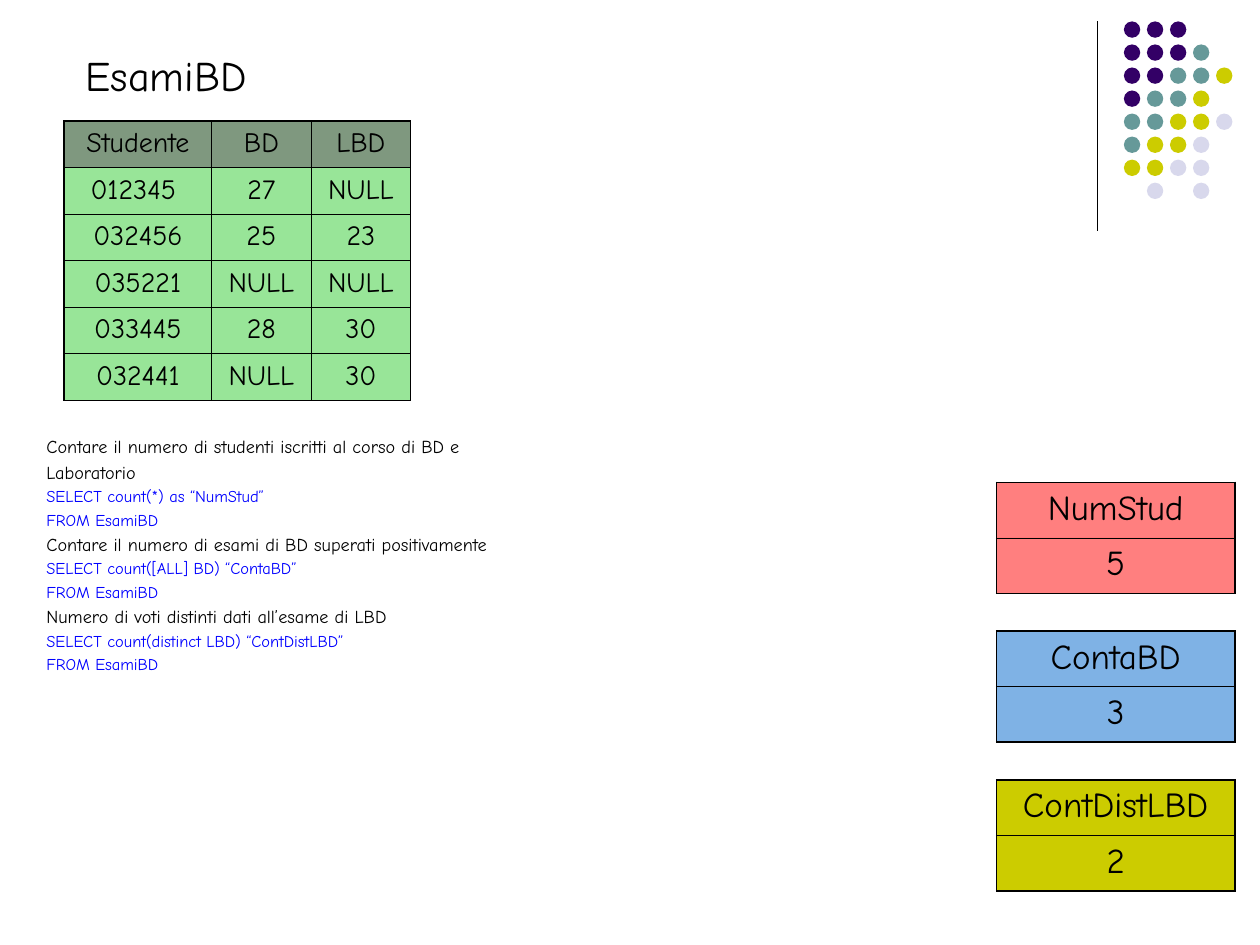
import pptx
import pptx.dml.color
import pptx.enum.shapes
import pptx.enum.text
import pptx.oxml
import pptx.oxml.ns
import pptx.util
from pptx.util import Inches

FONT = "Comic Neue"
BLACK = "000000"
THIN, THICK = 0.45, 1.08

TITLE = "EsamiBD"
QUERIES = [
    (["Contare il numero di studenti iscritti al corso di BD e", "Laboratorio"],
     ["SELECT count(*) as “NumStud”", "FROM EsamiBD"]),
    (["Contare il numero di esami di BD superati positivamente"],
     ["SELECT count([ALL] BD) “ContaBD”", "FROM EsamiBD"]),
    (["Numero di voti distinti dati all’esame di LBD"],
     ["SELECT count(distinct LBD) “ContDistLBD”", "FROM EsamiBD"]),
]
EXAMS = [
    ["Studente", "BD", "LBD"],
    ["012345 ", "27", "NULL"],
    ["032456", "25", "23"],
    ["035221", "NULL", "NULL"],
    ["033445", "28", "30"],
    ["032441", "NULL", "30"],
]
RESULTS = [
    ("NumStud", "5", "FF0000", 50),
    ("ContaBD", "3", "0066CC", 50),
    ("ContDistLBD", "2", "CCCC00", 100),
]
DOT_COLORS = {"P": "330066", "T": "669999", "Y": "CCCC00", "L": "D8D8EC"}
DOT_ROWS = ["PPP", "PPPT", "PPTTY", "PTTY", "TTYYL", "TYYL", "YYLL", " L L"]


def rgb(value):
    return pptx.dml.color.RGBColor.from_string(value)


def add_text(paragraph, text, size, color=BLACK):
    run = paragraph.add_run()
    run.text = text
    run.font.name = FONT
    run.font.size = pptx.util.Pt(size)
    run.font.color.rgb = rgb(color)


def set_borders(cell, widths):
    properties = cell._tc.get_or_add_tcPr()
    for side in "LRTB":
        properties.append(pptx.oxml.parse_xml(
            f'<a:ln{side} {pptx.oxml.ns.nsdecls("a")} w="{pptx.util.Pt(widths[side])}">'
            f'<a:solidFill><a:srgbClr val="{BLACK}"/></a:solidFill></a:ln{side}>'))


def set_fill(cell, color, opacity):
    cell.fill.solid()
    cell.fill.fore_color.rgb = rgb(color)
    if opacity < 100:
        fill_color = cell._tc.tcPr.find(
            f'{pptx.oxml.ns.qn("a:solidFill")}/{pptx.oxml.ns.qn("a:srgbClr")}')
        fill_color.append(pptx.oxml.parse_xml(
            f'<a:alpha {pptx.oxml.ns.nsdecls("a")} val="{opacity * 1000}"/>'))


def add_table(slide, rows, left, top, column_widths, row_height, size, row_colors, opacity):
    last_row, last_column = len(rows) - 1, len(column_widths) - 1
    table = slide.shapes.add_table(
        len(rows), len(column_widths), Inches(left), Inches(top),
        Inches(sum(column_widths)), Inches(row_height * len(rows))).table
    table.first_row = table.horz_banding = False
    for column, width in zip(table.columns, column_widths):
        column.width = Inches(width)
    for r, values in enumerate(rows):
        table.rows[r].height = Inches(row_height)
        for c, value in enumerate(values):
            cell = table.cell(r, c)
            paragraph = cell.text_frame.paragraphs[0]
            paragraph.alignment = pptx.enum.text.PP_ALIGN.CENTER
            add_text(paragraph, value, size)
            set_borders(cell, {
                "L": THICK if c == 0 else THIN,
                "R": THICK if c == last_column else THIN,
                "T": THICK if r == 0 else THIN,
                "B": THICK if r == last_row else THIN,
            })
            set_fill(cell, row_colors[r], opacity)


def add_decoration(slide):
    divider = slide.shapes.add_connector(
        pptx.enum.shapes.MSO_CONNECTOR.STRAIGHT,
        Inches(8.71), Inches(0.17), Inches(8.71), Inches(1.83))
    divider.line.color.rgb = rgb(BLACK)
    divider.line.width = pptx.util.Pt(0.75)
    divider._element.spPr.append(pptx.oxml.parse_xml(
        f'<a:effectLst {pptx.oxml.ns.nsdecls("a")}/>'))
    pitch = 1.28 / (len(DOT_ROWS) - 1)
    for r, row in enumerate(DOT_ROWS):
        for c, key in enumerate(row):
            if key in DOT_COLORS:
                dot = slide.shapes.add_shape(
                    pptx.enum.shapes.MSO_SHAPE.OVAL,
                    Inches(8.92 + c * pitch), Inches(0.17 + r * pitch),
                    Inches(0.13), Inches(0.13))
                dot.shadow.inherit = False
                dot.fill.solid()
                dot.fill.fore_color.rgb = rgb(DOT_COLORS[key])
                dot.line.fill.background()


def add_title(slide):
    title = slide.shapes.title
    title.left, title.top = Inches(0.58), Inches(0.34)
    title.width, title.height = Inches(1.48), Inches(0.5)
    frame = title.text_frame
    frame.word_wrap = False
    frame.auto_size = pptx.enum.text.MSO_AUTO_SIZE.NONE
    frame.vertical_anchor = pptx.enum.text.MSO_ANCHOR.TOP
    paragraph = frame.paragraphs[0]
    paragraph.alignment = pptx.enum.text.PP_ALIGN.LEFT
    paragraph.line_spacing = 1.0
    add_text(paragraph, TITLE, 24)


def add_queries(slide):
    frame = slide.shapes.add_textbox(
        Inches(0.27), Inches(3.44), Inches(7.8), Inches(2.44)).text_frame
    frame.word_wrap = True
    lines = []
    for questions, statements in QUERIES:
        lines += [(text, 10.4, BLACK, 4.8) for text in questions]
        lines += [(text, 9.4, "0000FF", 4.2) for text in statements]
    for index, (text, size, color, space) in enumerate(lines):
        paragraph = frame.add_paragraph() if index else frame.paragraphs[0]
        paragraph.line_spacing = 0.8
        paragraph.space_before = pptx.util.Pt(space if index else 0)
        add_text(paragraph, text, size, color)


def main():
    presentation = pptx.Presentation()
    presentation.slide_width, presentation.slide_height = Inches(10), Inches(7.5)
    slide = presentation.slides.add_slide(presentation.slide_layouts[5])
    add_decoration(slide)
    add_title(slide)
    add_queries(slide)
    exam_colors = ["003300"] + ["33CC33"] * (len(EXAMS) - 1)
    add_table(slide, EXAMS, 0.51, 0.96, [1.17, 0.79, 0.79], 0.37, 16, exam_colors, 50)
    for index, (name, value, color, opacity) in enumerate(RESULTS):
        add_table(slide, [[name], [value]], 7.91, 3.83 + index * 1.18,
                  [1.89], 0.44, 20, [color] * 2, opacity)
    presentation.save("out.pptx")


if __name__ == "__main__":
    main()
